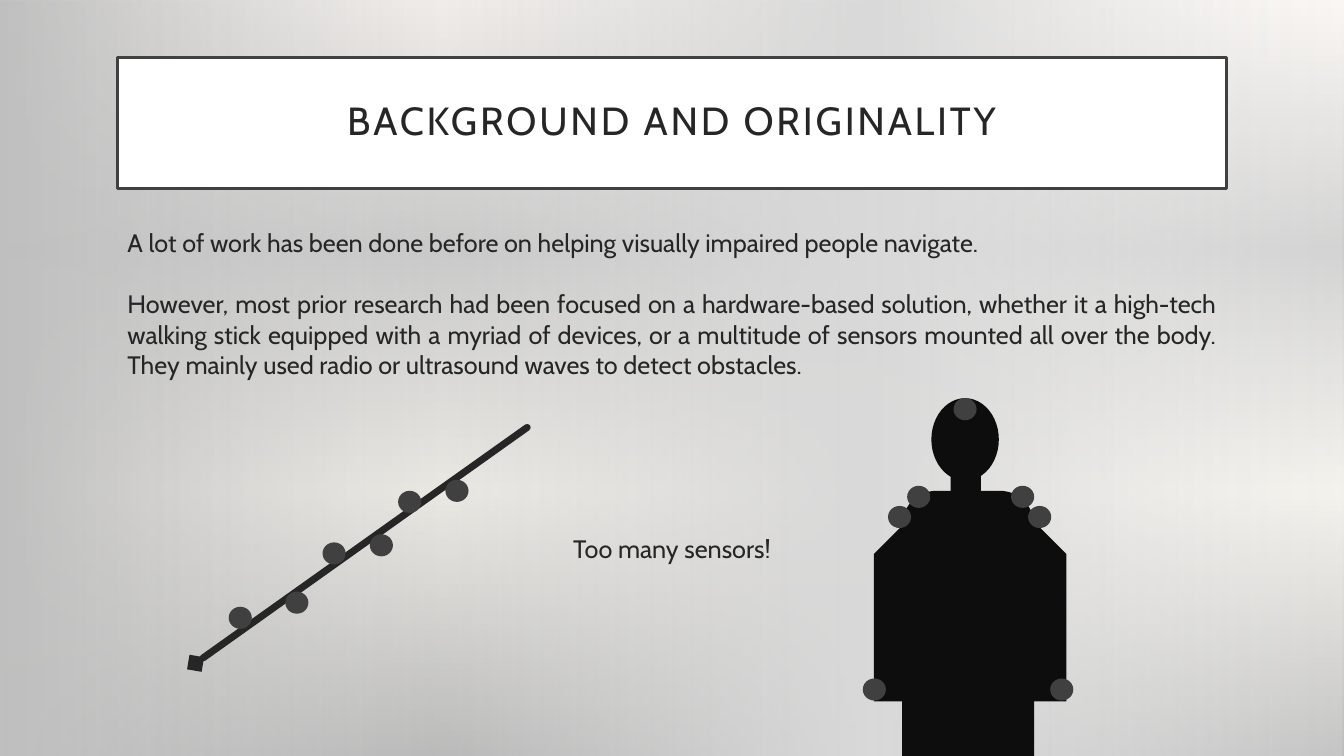
"""Build the "Background and originality" slide."""
from lxml.etree import SubElement
from pptx import Presentation
from pptx.dml.color import RGBColor
from pptx.enum.shapes import MSO_CONNECTOR as Connector, MSO_SHAPE as Shape
from pptx.enum.text import MSO_ANCHOR as Anchor, PP_ALIGN as Align
from pptx.oxml.ns import qn
from pptx.util import Pt

FONT = "Cabin"
SLIDE_SIZE = (960, 540)
SENSOR_SIZE = (16.5, 15.8)
COLOURS = {
    "text": "262626",
    "border": "404040",
    "sensor": "404040",
    "silhouette": "0D0D0D",
    "panel": "FFFFFF",
}
BACKDROP_STOPS = [(0, "FFFAF4", 100), (33, "BFBFBF", 100), (65, "F5F2E9", 100), (100, "A6A6A6", 100)]
SHEEN_STOPS = [(0, "BFBFBF", 100), (33, "D9D9D9", 40), (65, "D9D9D9", 100), (100, "F2F2F2", 40)]
BODY = [
    ("A lot of work has been done before on helping visually impaired people navigate.", Align.JUSTIFY, 10),
    ("However, most prior research had been focused on a hardware-based solution, whether it a "
     "high-tech walking stick equipped with a myriad of devices, or a multitude of sensors mounted "
     "all over the body. They mainly used radio or ultrasound waves to detect obstacles.",
     Align.JUSTIFY, 10),
    ("Too many sensors!", Align.CENTER, 98),
]
STICK_SENSORS = [(163.4, 433.4), (203.8, 422.6), (230.4, 387.4),
                 (264.2, 381.6), (284.4, 350.6), (318.2, 342.7)]
BODY_SENSORS = [(681.1, 284.4), (648, 347), (722.2, 347), (616.3, 484.6),
                (750.2, 484.6), (634.3, 361.4), (734.4, 361.4)]
SILHOUETTE = [
    (Shape.ROUNDED_RECTANGLE, (679, 313.9, 21.6, 59), [0.26]),
    (Shape.OVAL, (665.3, 284.4, 48.2, 59), []),
    (Shape.SNIP_2_SAME_RECTANGLE, (624.2, 361.4, 137.5, 139.7), [0.25, 0]),
    (Shape.ROUNDED_RECTANGLE, (644.4, 350.6, 94.3, 218.2), [0.26]),
]


def colour(name):
    """Return the named colour."""
    return RGBColor.from_string(COLOURS[name])


def paint_gradient(fill, element, stops, angle):
    """Give a fill a linear gradient of (position, hex, opacity) stops."""
    fill.gradient()
    fill.gradient_angle = angle
    stop_list = element.find(".//" + qn("a:gsLst"))
    for stop in list(stop_list):
        stop_list.remove(stop)
    for position, hex_value, opacity in stops:
        stop = SubElement(stop_list, qn("a:gs"), pos=str(position * 1000))
        tint = SubElement(stop, qn("a:srgbClr"), val=hex_value)
        if opacity < 100:
            SubElement(tint, qn("a:alpha"), val=str(opacity * 1000))


def add_shape(slide, kind, box, fill=None, adjustments=()):
    """Add a flat preset shape without an outline."""
    shape = slide.shapes.add_shape(kind, *map(Pt, box))
    shape.shadow.inherit = False
    shape.line.fill.background()
    if fill:
        shape.fill.solid()
        shape.fill.fore_color.rgb = colour(fill)
    for index, value in enumerate(adjustments):
        shape.adjustments[index] = value
    return shape


def add_run(paragraph, text, size):
    """Append a run in the slide's font."""
    run = paragraph.add_run()
    run.text = text
    run.font.name = FONT
    run.font.size = Pt(size)
    run.font.color.rgb = colour("text")
    return run


def add_title(slide, text):
    """Add the framed title."""
    shape = add_shape(slide, Shape.RECTANGLE, (84, 41, 792, 93.6), "panel")
    shape.line.color.rgb = colour("border")
    shape.line.width = Pt(2.5)
    frame = shape.text_frame
    frame.word_wrap = True
    frame.vertical_anchor = Anchor.MIDDLE
    frame.margin_left = frame.margin_right = frame.margin_top = frame.margin_bottom = Pt(14.4)
    paragraph = frame.paragraphs[0]
    paragraph.alignment = Align.CENTER
    paragraph.line_spacing = 0.9
    run = add_run(paragraph, text, 28)
    run.font._element.set("spc", "200")


def add_body(slide, entries):
    """Add the body text from (text, alignment, space before) entries."""
    frame = slide.shapes.add_textbox(*map(Pt, (84, 159.1, 792, 355.7))).text_frame
    frame.word_wrap = True
    for index, (text, alignment, space_before) in enumerate(entries):
        paragraph = frame.add_paragraph() if index else frame.paragraphs[0]
        paragraph.alignment = alignment
        paragraph.space_before = Pt(space_before)
        paragraph.space_after = Pt(12)
        add_run(paragraph, text, 18)


def add_stick(slide, start, end):
    """Add the walking stick, a round-capped line with a diamond tip."""
    stick = slide.shapes.add_connector(Connector.STRAIGHT, *map(Pt, start + end))
    stick.line.color.rgb = colour("text")
    stick.line.width = Pt(5)
    outline = stick.line._get_or_add_ln()
    outline.set("cap", "rnd")
    SubElement(outline, qn("a:headEnd"), type="diamond")
    SubElement(stick.element.spPr, qn("a:effectLst"))


def add_sensors(slide, positions):
    """Add a sensor dot at each top-left position."""
    for position in positions:
        add_shape(slide, Shape.OVAL, position + SENSOR_SIZE, "sensor")


def main():
    """Build and save the slide."""
    presentation = Presentation()
    presentation.slide_width, presentation.slide_height = map(Pt, SLIDE_SIZE)
    slide = presentation.slides.add_slide(presentation.slide_layouts[6])
    paint_gradient(slide.background.fill, slide.element, BACKDROP_STOPS, 270)
    sheen = add_shape(slide, Shape.RECTANGLE, (0, 0) + SLIDE_SIZE)
    paint_gradient(sheen.fill, sheen.element, SHEEN_STOPS, 0)
    add_title(slide, "BACKGROUND AND ORIGINALITY")
    add_body(slide, BODY)
    add_stick(slide, (139.7, 473.8), (376.6, 305.3))
    add_sensors(slide, STICK_SENSORS)
    for kind, box, adjustments in SILHOUETTE:
        add_shape(slide, kind, box, "silhouette", adjustments)
    add_sensors(slide, BODY_SENSORS)
    presentation.save("out.pptx")


if __name__ == "__main__":
    main()
